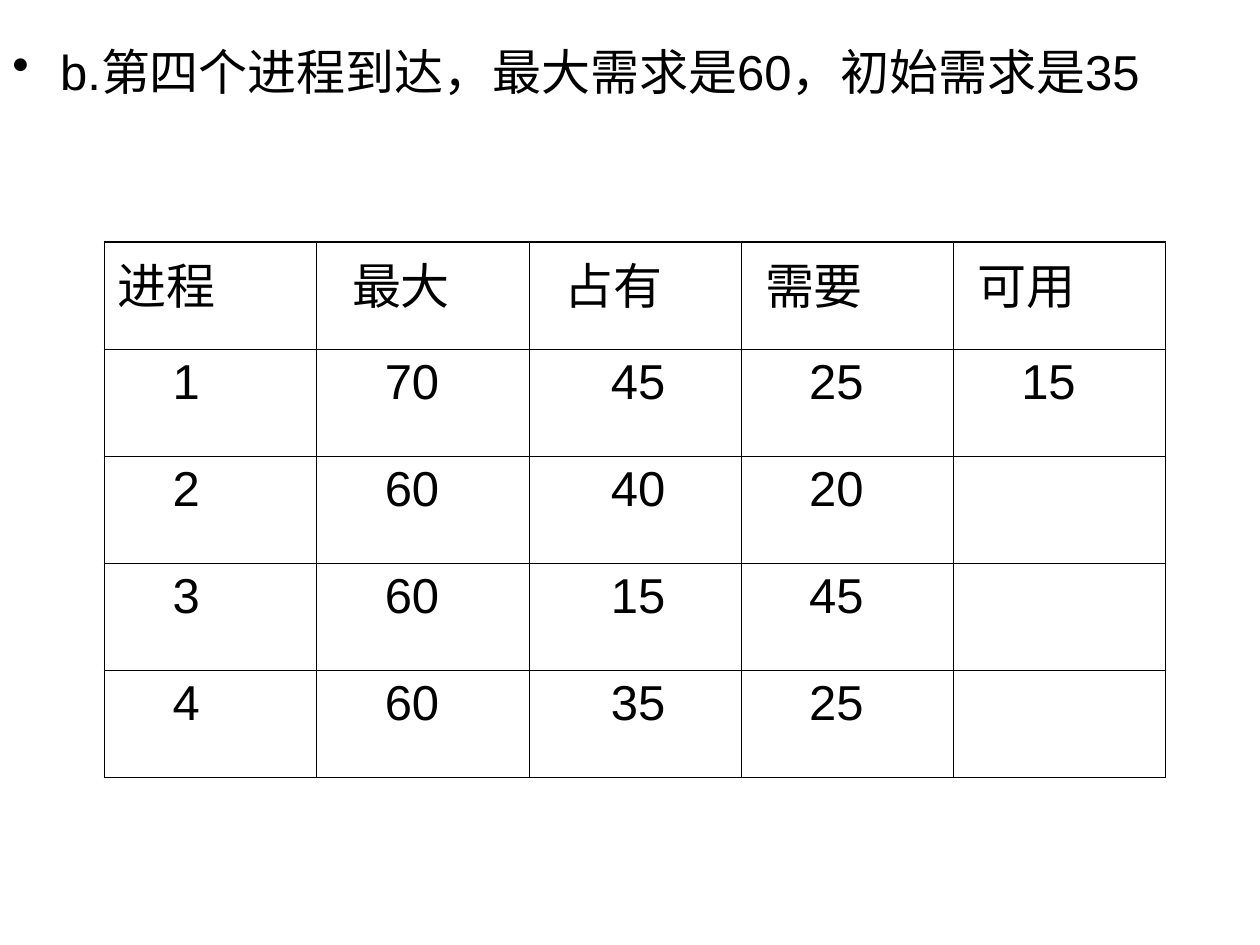
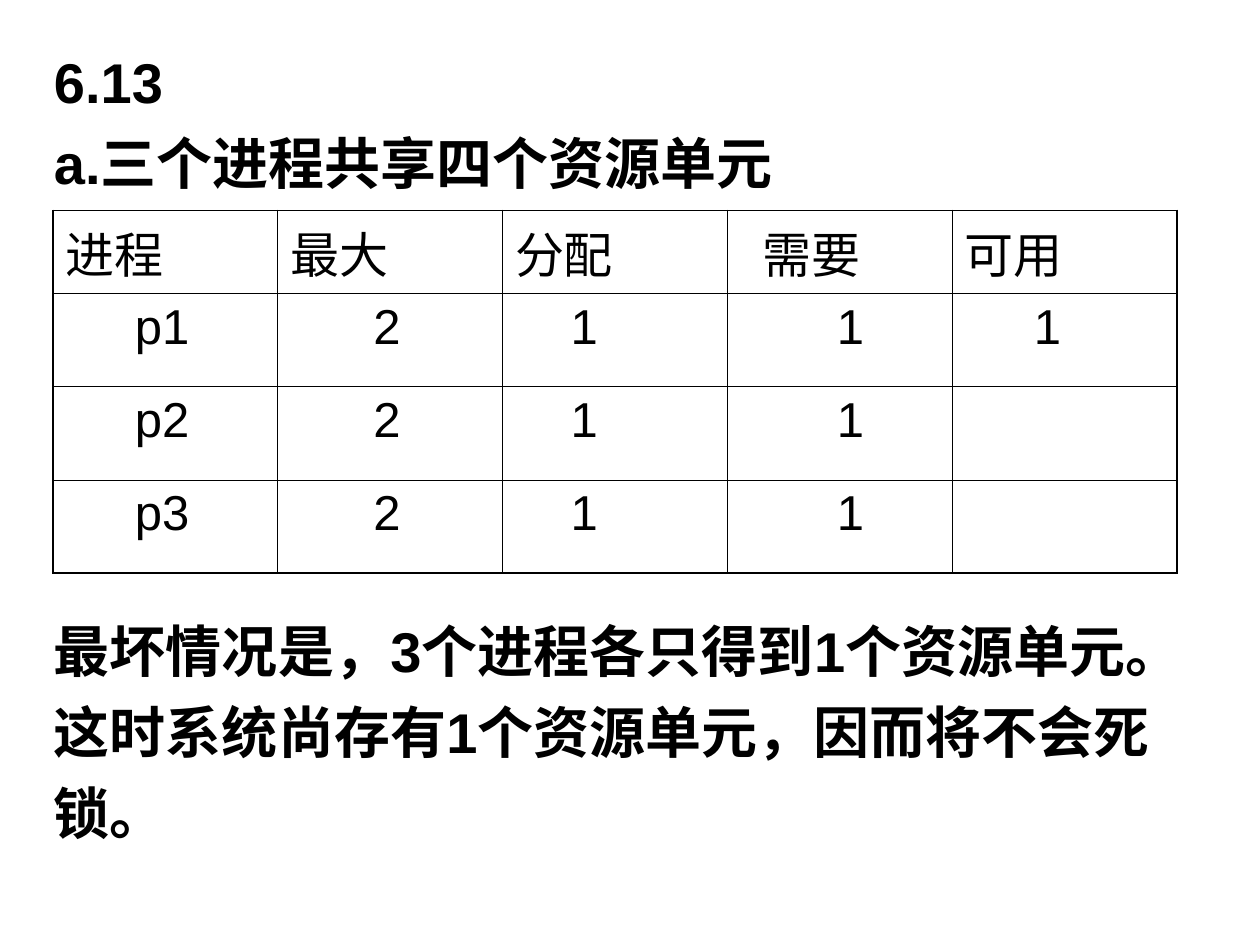
from dataclasses import dataclass

from lxml import etree
from pptx import Presentation
from pptx import util as u
from pptx.dml import color
from pptx.enum import lang
from pptx.oxml import ns
from pptx.util import Inches


@dataclass(frozen=True)
class Theme:
    ink: str = "000000"
    font: str = "Arial"
    cell: int = 28
    note: int = 32
    thin: float = 0.45
    thick: float = 1.08
    hang: float = 0.38
    head_step: float = 0.09
    body_step: float = 0.11


@dataclass(frozen=True)
class Box:
    left: float
    top: float
    width: float
    height: float


@dataclass(frozen=True)
class Line:
    text: str
    size: int
    bold: bool = False
    before: float = 0
    space: float = 1
    mark: str = ""


@dataclass(frozen=True)
class Column:
    title: str
    values: tuple[str, ...]
    title_steps: int
    value_steps: int


@dataclass(frozen=True)
class Grid:
    box: Box
    rows: tuple[float, ...]
    columns: tuple[Column, ...]


THEME = Theme()


def add_run(para, text: str, size: int, bold: bool = False) -> None:
    run = para.add_run()
    run.text = text
    font = run.font
    font.name, font.size, font.bold = THEME.font, u.Pt(size), bold
    font.color.rgb = color.RGBColor.from_string(THEME.ink)
    font.language_id = lang.MSO_LANGUAGE_ID.SIMPLIFIED_CHINESE


def indent(para, left: float, first: float = 0) -> None:
    props = para._p.get_or_add_pPr()
    props.set("marL", str(Inches(left)))
    props.set("indent", str(Inches(first)))


def add_text(slide, box: Box, lines: tuple[Line, ...]) -> None:
    shape = slide.shapes.add_textbox(
        Inches(box.left), Inches(box.top), Inches(box.width), Inches(box.height))
    frame = shape.text_frame
    frame.word_wrap = True
    for i, line in enumerate(lines):
        para = frame.add_paragraph() if i else frame.paragraphs[0]
        indent(para, THEME.hang, -THEME.hang)
        if line.mark:
            bullet = etree.SubElement(para._p.pPr, ns.qn("a:buChar"))
            bullet.set("char", line.mark)
        para.space_before = u.Pt(line.before)
        para.line_spacing = line.space
        add_run(para, line.text, line.size, line.bold)


def add_edge(cell, side: str, outer: bool) -> None:
    width = THEME.thick if outer else THEME.thin
    edge = etree.SubElement(cell._tc.get_or_add_tcPr(), ns.qn(f"a:ln{side}"))
    edge.set("w", str(u.Pt(width)))
    fill = etree.SubElement(edge, ns.qn("a:solidFill"))
    etree.SubElement(fill, ns.qn("a:srgbClr")).set("val", THEME.ink)


def add_grid(slide, grid: Grid) -> None:
    box = grid.box
    rows, cols = len(grid.rows), len(grid.columns)
    table = slide.shapes.add_table(
        rows, cols, Inches(box.left), Inches(box.top),
        Inches(box.width), Inches(box.height)).table
    table.first_row = table.horz_banding = False
    for r, height in enumerate(grid.rows):
        table.rows[r].height = Inches(height)
    for c, column in enumerate(grid.columns):
        table.columns[c].width = Inches(box.width / cols)
        for r, text in enumerate((column.title, *column.values)):
            cell = table.cell(r, c)
            para = cell.text_frame.paragraphs[0]
            if r:
                indent(para, column.value_steps * THEME.body_step)
            else:
                indent(para, column.title_steps * THEME.head_step)
            if text:
                add_run(para, text, THEME.cell)
            add_edge(cell, "L", c == 0)
            add_edge(cell, "R", c == cols - 1)
            add_edge(cell, "T", r == 0)
            add_edge(cell, "B", r == rows - 1)
            cell.fill.background()


def add_demand(slide) -> None:
    add_text(slide, Box(0, 0.33, 10, 0.58), (
        Line("b.第四个进程到达，最大需求是60，初始需求是35",
             THEME.cell, space=0.9, mark="•"),
    ))
    add_grid(slide, Grid(Box(0.83, 1.92, 8.42, 4.25), (0.85,) * 5, (
        Column("进程", ("1", "2", "3", "4"), 0, 4),
        Column("最大", ("70", "60", "60", "60"), 2, 4),
        Column("占有", ("45", "40", "15", "35"), 2, 5),
        Column("需要", ("25", "20", "45", "25"), 1, 4),
        Column("可用", ("15", "", "", ""), 1, 4),
    )))


def add_sharing(slide) -> None:
    size = THEME.note
    add_text(slide, Box(0.33, 0.33, 9.42, 6.83), (
        Line("6.13", size, True),
        Line("a.三个进程共享四个资源单元", size, True, 8),
        Line("最坏情况是，3个进程各只得到1个资源单元。", size, True, 240),
        Line("这时系统尚存有1个资源单元，因而将不会死", size, True, 8),
        Line("锁。", size, True, 8),
    ))
    add_grid(slide, Grid(Box(0.42, 1.67, 8.92, 2.88), (0.66,) + (0.74,) * 3, (
        Column("进程", ("p1", "p2", "p3"), 0, 5),
        Column("最大", ("2",) * 3, 0, 6),
        Column("分配", ("1",) * 3, 0, 4),
        Column("需要", ("1",) * 3, 2, 7),
        Column("可用", ("1", "", ""), 0, 5),
    )))


def main() -> None:
    deck = Presentation()
    deck.slide_width, deck.slide_height = Inches(10), Inches(7.5)
    for build in (add_demand, add_sharing):
        build(deck.slides.add_slide(deck.slide_layouts[6]))
    deck.save("out.pptx")


if __name__ == "__main__":
    main()
